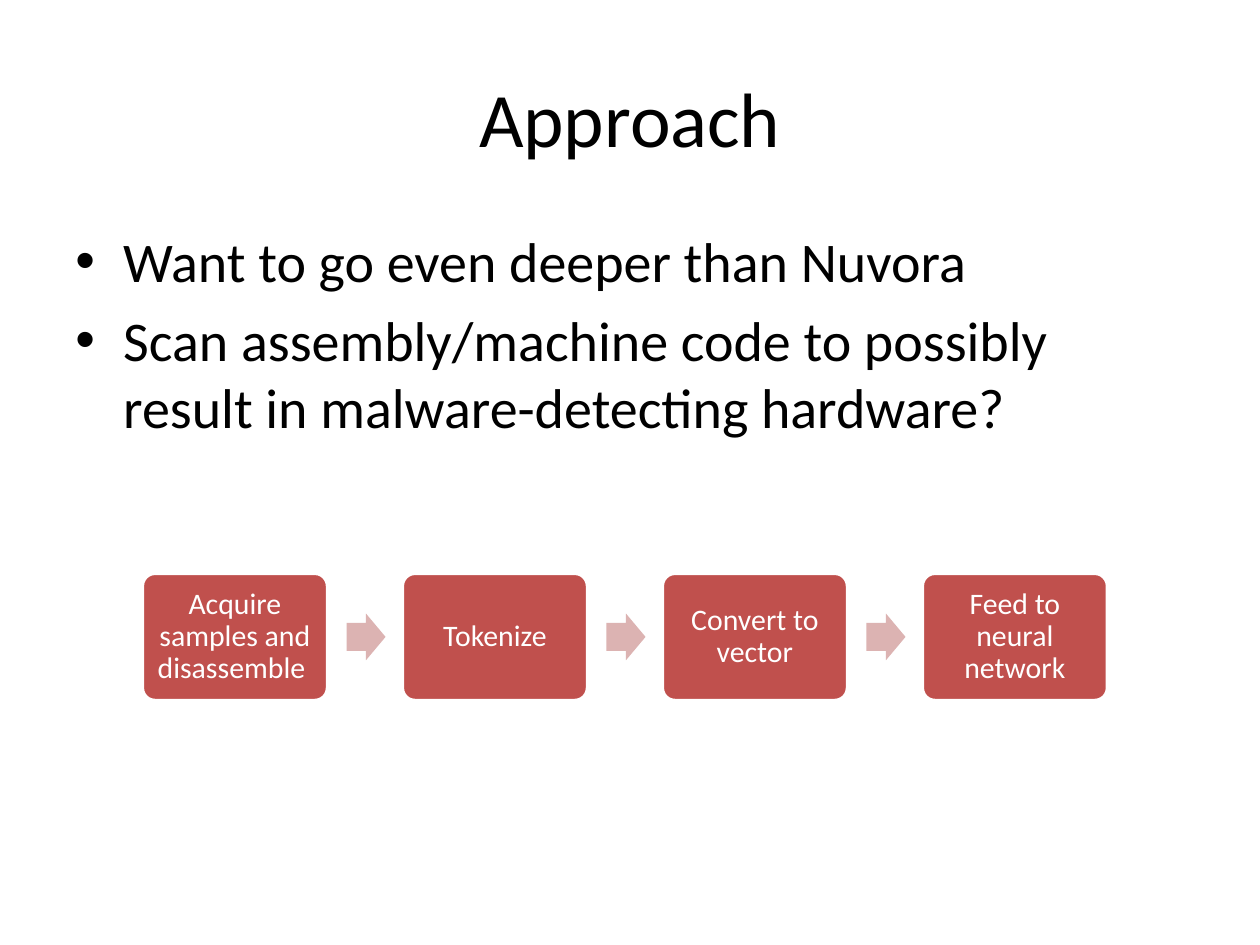
"""Build the Approach slide: a title, two bullets and a four-step process."""
from pptx import Presentation
from pptx.dml.color import RGBColor
from pptx.enum import shapes, text
from pptx.oxml import parse_xml
from pptx.oxml.ns import nsdecls
from pptx.util import Inches, Pt

TITLE = "Approach"
BULLETS = [
    "Want to go even deeper than Nuvora",
    "Scan assembly/machine code to possibly result in malware-detecting hardware?",
]
STEPS = [
    "Acquire samples and disassemble ",
    "Tokenize",
    "Convert to vector",
    "Feed to neural network",
]

BLACK = RGBColor(0, 0, 0)
WHITE = RGBColor(255, 255, 255)
RED = RGBColor(0xC0, 0x50, 0x4D)
PINK = RGBColor(0xDC, 0xB3, 0xB2)

STEP_LEFT, STEP_TOP, STEP_W, STEP_H = 1.13, 4.55, 1.47, 1.01
STEP_PITCH = (7.32 - STEP_LEFT) / (len(STEPS) - 1)
ARROW_W, ARROW_H, ARROW_GAP = 0.31, 0.37, 0.15

CENTER = text.PP_ALIGN.CENTER
MIDDLE = text.MSO_ANCHOR.MIDDLE
AUTO = shapes.MSO_SHAPE


def set_text(sp, lines, size, color, frame=None, **para):
    tf = sp.text_frame
    for name, value in {"word_wrap": True, **(frame or {})}.items():
        setattr(tf, name, value)
    for i, line in enumerate(lines):
        p = tf.add_paragraph() if i else tf.paragraphs[0]
        for name, value in para.items():
            setattr(p, name, value)
        r = p.add_run()
        r.text = line
        for name, value in {"name": "Calibri", "size": Pt(size)}.items():
            setattr(r.font, name, value)
        r.font.color.rgb = color
    return tf


def add_text(s, box, *args, **kwargs):
    return set_text(s.shapes.add_textbox(*map(Inches, box)), *args, **kwargs)


def add_shape(s, kind, box, fill, adjustments):
    sp = s.shapes.add_shape(kind, *map(Inches, box))
    sp.shadow.inherit = False
    sp.fill.solid()
    sp.fill.fore_color.rgb = fill
    sp.line.fill.background()
    for i, value in enumerate(adjustments):
        sp.adjustments[i] = value
    return sp


def add_bullet(p):
    pPr = p._p.get_or_add_pPr()
    pPr.set("marL", str(Inches(0.38)))
    pPr.set("indent", str(Inches(-0.38)))
    pPr.append(parse_xml(f'<a:buFont {nsdecls("a")} typeface="Arial"/>'))
    pPr.append(parse_xml(f'<a:buChar {nsdecls("a")} char="•"/>'))


prs = Presentation()
prs.slide_width, prs.slide_height = Inches(10), Inches(7.5)
s = prs.slides.add_slide(prs.slide_layouts[6])

add_text(s, (0.5, 0.3, 9, 1.25), [TITLE], 44, BLACK,
         {"vertical_anchor": MIDDLE}, alignment=CENTER)
body = add_text(s, (0.5, 1.75, 9, 4.95), BULLETS, 32, BLACK, space_before=Pt(6.4))
for p in body.paragraphs:
    add_bullet(p)

margins = {f"margin_{side}": Inches(0.07) for side in ("left", "right", "top", "bottom")}
for i, step in enumerate(STEPS):
    left = STEP_LEFT + i * STEP_PITCH
    sp = add_shape(s, AUTO.ROUNDED_RECTANGLE, (left, STEP_TOP, STEP_W, STEP_H), RED, [0.1])
    sp.line.color.rgb = WHITE
    sp.line.width = Pt(2)
    set_text(sp, [step], 17, WHITE, {"vertical_anchor": MIDDLE, **margins},
             alignment=CENTER, line_spacing=0.9)
    if i < len(STEPS) - 1:
        arrow_top = STEP_TOP + (STEP_H - ARROW_H) / 2
        add_shape(s, AUTO.RIGHT_ARROW,
                  (left + STEP_W + ARROW_GAP, arrow_top, ARROW_W, ARROW_H), PINK, [0.6, 0.5])

prs.save("out.pptx")
